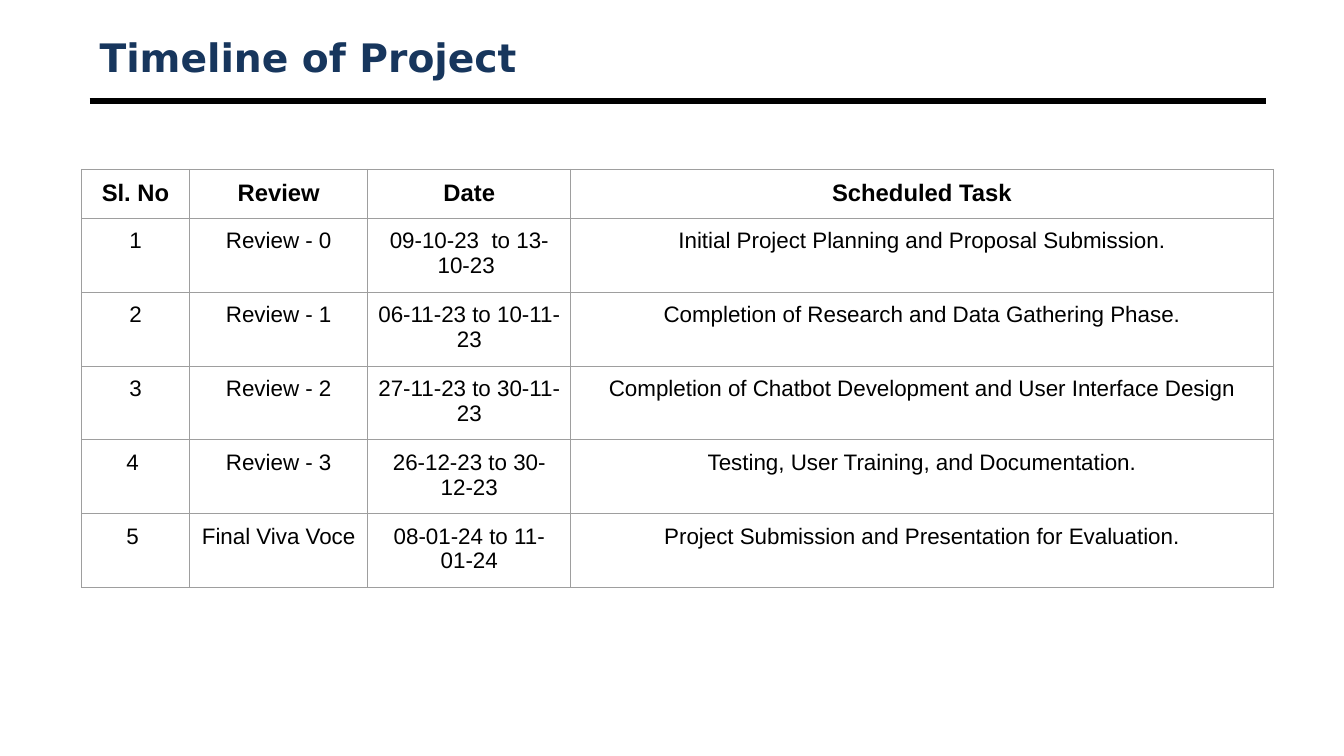
from lxml import etree
from pptx import Presentation
from pptx.dml.color import RGBColor
from pptx.enum.shapes import MSO_CONNECTOR
from pptx.enum.text import MSO_ANCHOR, PP_ALIGN
from pptx.oxml.ns import qn
from pptx.util import Inches, Pt

LEFT, CENTER = PP_ALIGN.LEFT, PP_ALIGN.CENTER
MIDDLE, TOP = MSO_ANCHOR.MIDDLE, MSO_ANCHOR.TOP
STRAIGHT = MSO_CONNECTOR.STRAIGHT

NAVY, BLACK, GREY = "17365D", "000000", "9E9E9E"
COLUMN_WIDTHS = [1.07, 1.77, 2.01, 6.97]
ROW_HEIGHT = 0.42
SCHEDULE = [
    ("Sl. No", "Review", "Date", "Scheduled Task"),
    ("1", "Review - 0", "09-10-23  to 13-10-23 ",
     "Initial Project Planning and Proposal Submission."),
    ("2", "Review - 1", "06-11-23 to 10-11-23",
     "Completion of Research and Data Gathering Phase."),
    ("3", "Review - 2", "27-11-23 to 30-11-23",
     "Completion of Chatbot Development and User Interface Design"),
    ("4 ", "Review - 3", "26-12-23 to 30-12-23",
     "Testing, User Training, and Documentation."),
    ("5 ", "Final Viva Voce", "08-01-24 to 11-01-24",
     "Project Submission and Presentation for Evaluation."),
]


def rgb(color):
    return RGBColor.from_string(color)


def write(tf, text, size=16, font="Arial", color=BLACK, bold=False, align=CENTER):
    p = tf.paragraphs[0]
    p.alignment = align
    r = p.add_run()
    r.text = text
    r.font.size = Pt(size)
    r.font.name = font
    r.font.bold = bold
    r.font.color.rgb = rgb(color)


def set_borders(cell, color, width):
    tc_pr = cell._tc.get_or_add_tcPr()
    for side in ("a:lnL", "a:lnR", "a:lnT", "a:lnB"):
        ln = etree.SubElement(tc_pr, qn(side), w=str(Pt(width)))
        fill = etree.SubElement(ln, qn("a:solidFill"))
        etree.SubElement(fill, qn("a:srgbClr"), val=color)


def add_heading(slide, text, left, top, width, height):
    # Title text
    sp = slide.shapes.add_textbox(Inches(left), Inches(top), Inches(width), Inches(height))
    tf = sp.text_frame
    tf.word_wrap = True
    tf.vertical_anchor = MIDDLE
    write(tf, text, size=28, font="DejaVu Sans", color=NAVY, bold=True, align=LEFT)

    # Rule below the title
    y = Inches(top + height + 0.17)
    rule = slide.shapes.add_connector(STRAIGHT, Inches(left), y, Inches(left + width), y)
    rule.line.color.rgb = rgb(BLACK)
    rule.line.width = Pt(4.5)
    etree.SubElement(rule._element.spPr, qn("a:effectLst"))


def add_schedule(slide, rows, left, top):
    frame = slide.shapes.add_table(
        len(rows), len(COLUMN_WIDTHS), Inches(left), Inches(top),
        Inches(sum(COLUMN_WIDTHS)), Inches(ROW_HEIGHT * len(rows)))
    table = frame.table
    table.horz_banding = False
    for column, width in zip(table.columns, COLUMN_WIDTHS):
        column.width = Inches(width)

    # Header row, then one row per review
    for i, row in enumerate(rows):
        header = i == 0
        table.rows[i].height = Inches(ROW_HEIGHT)
        for j, text in enumerate(row):
            cell = table.cell(i, j)
            cell.margin_left = cell.margin_right = Inches(0.1)
            cell.margin_top = cell.margin_bottom = Inches(0.1)
            cell.vertical_anchor = TOP
            set_borders(cell, GREY, 0.75)
            cell.fill.background()
            write(cell.text_frame, text, size=17 if header else 16, bold=header)


def main():
    prs = Presentation()
    prs.slide_width, prs.slide_height = Inches(13.33), Inches(7.5)
    slide = prs.slides.add_slide(prs.slide_layouts[6])
    add_heading(slide, "Timeline of Project", 0.89, 0.3, 11.67, 0.53)
    add_schedule(slide, SCHEDULE, 0.81, 1.68)
    prs.save("out.pptx")


if __name__ == "__main__":
    main()
